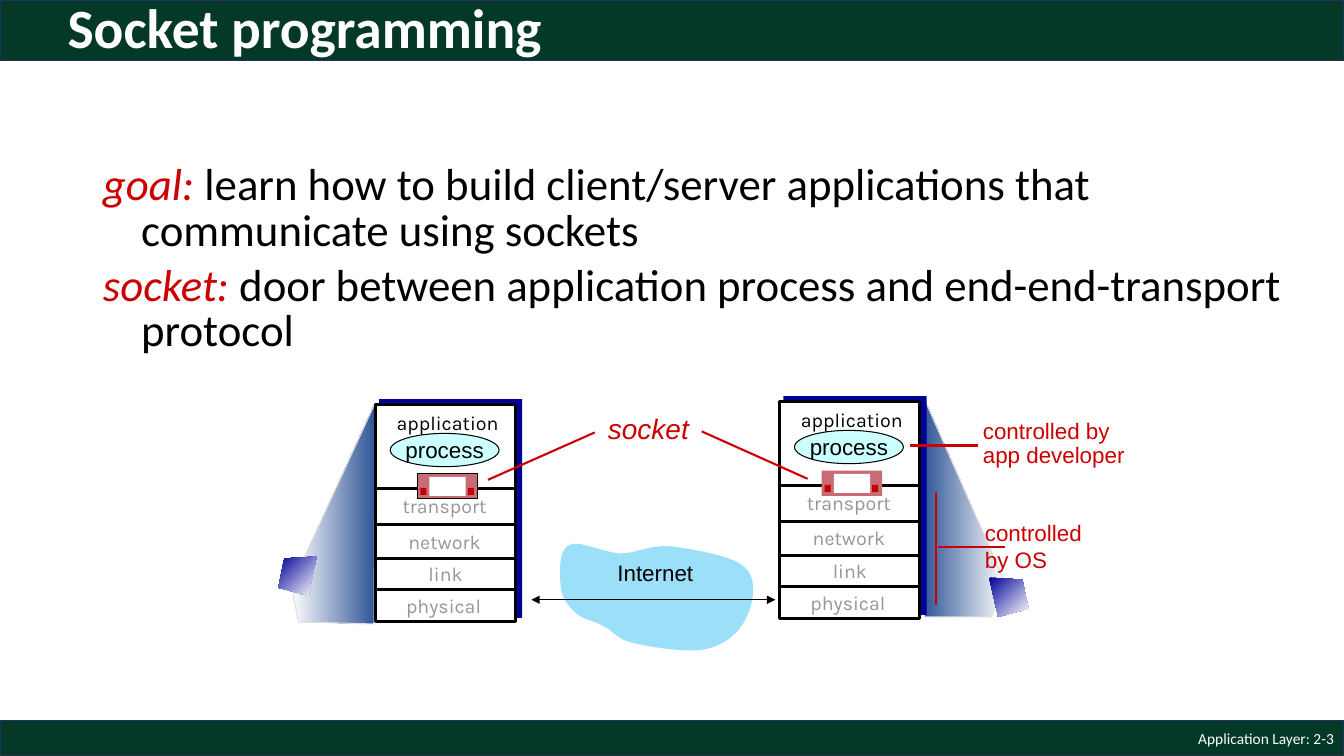
from lxml import etree
from pptx import Presentation
from pptx.dml.color import RGBColor
from pptx.enum.shapes import MSO_CONNECTOR as Connector, MSO_SHAPE as Preset
from pptx.enum.text import MSO_ANCHOR as Anchor, MSO_AUTO_SIZE as AutoSize, PP_ALIGN as Align
from pptx.oxml.ns import qn
from pptx.util import Inches, Pt

COLOURS = {
    "bar": "043927", "bar edge": "1E3256", "white": "FFFFFF", "black": "000000",
    "red": "CC0000", "navy": "000099", "beam": "2F5597", "beam edge": "DDDDDD",
    "cloud": "9CDFF9", "muted": "969696", "process": "CCFFFF",
    "door": "C96B72", "hinge": "C00000",
}
HOST_DIVIDERS = [0.84, 1.19, 1.53, 1.84]
HOST_LAYERS = [("application", 0, -0.01, "black"), ("transport", -0.03, 0.82, "muted"),
               ("network", -0.03, 1.17, "muted"), ("link", -0.02, 1.49, "muted"),
               ("physical", -0.04, 1.81, "muted")]
CLOUD_START = (0.02, 0.45)
CLOUD_CURVES = [
    ((0.01, 0.33), (0, 0.11), (0.1, 0.06)), ((0.19, 0), (0.44, 0.13), (0.61, 0.14)),
    ((0.78, 0.14), (0.91, 0.05), (1.12, 0.07)), ((1.33, 0.1), (1.73, 0.16), (1.85, 0.28)),
    ((1.98, 0.4), (1.93, 0.65), (1.86, 0.78)), ((1.8, 0.92), (1.65, 1.05), (1.46, 1.09)),
    ((1.28, 1.13), (0.92, 1.07), (0.75, 1.03)), ((0.58, 1), (0.56, 0.92), (0.46, 0.87)),
    ((0.37, 0.81), (0.24, 0.8), (0.17, 0.73)), ((0.09, 0.66), (0.02, 0.56), (0.02, 0.45)),
]


def rgb(name):
    return RGBColor.from_string(COLOURS[name])


def set_outline(shape, colour, width):
    if colour:
        shape.line.color.rgb = rgb(colour)
        shape.line.width = Pt(width)
    else:
        shape.line.fill.background()


def add_preset(page, preset, left, top, width, height, fill, edge=None, weight=0.75):
    shape = page.shapes.add_shape(preset, Inches(left), Inches(top), Inches(width), Inches(height))
    shape.shadow.inherit = False
    shape.fill.solid()
    shape.fill.fore_color.rgb = rgb(fill)
    set_outline(shape, edge, weight)
    return shape


def add_outline(page, points, edge=None):
    corners = [(Inches(x), Inches(y)) for x, y in points]
    builder = page.shapes.build_freeform(*corners[0])
    builder.add_line_segments(corners[1:], close=True)
    shape = builder.convert_to_shape()
    shape.shadow.inherit = False
    set_outline(shape, edge, 0.75)
    return shape


def fill_gradient(shape, colours, angle):
    shape.fill.gradient()
    shape.fill.gradient_angle = angle
    for stop, colour in zip(shape.fill.gradient_stops, colours):
        stop.color.rgb = rgb(colour)


def add_line(page, start, end, colour, weight, arrows=False):
    line = page.shapes.add_connector(Connector.STRAIGHT, *(Inches(v) for v in (*start, *end)))
    set_outline(line, colour, weight)
    if arrows:
        for tag in ("a:headEnd", "a:tailEnd"):
            etree.SubElement(line.line._get_or_add_ln(), qn(tag), type="triangle")
    etree.SubElement(line._element.spPr, qn("a:effectLst"))


def add_run(para, words, font, size, colour, bold=False, italic=False):
    span = para.add_run()
    span.text = words
    span.font.name, span.font.size = font, Pt(size)
    span.font.bold, span.font.italic = bold, italic
    span.font.color.rgb = rgb(colour)


def add_label(page, left, top, width, height, lines, font, size, colour,
              align=Align.LEFT, spacing=1.0, wrap=False, italic=False):
    box = page.shapes.add_textbox(Inches(left), Inches(top), Inches(width), Inches(height))
    frame = box.text_frame
    frame.word_wrap = wrap
    for index, words in enumerate(lines):
        para = frame.add_paragraph() if index else frame.paragraphs[0]
        para.alignment, para.line_spacing = align, spacing
        add_run(para, words, font, size, colour, italic=italic)
    return box


def place_placeholder(holder, left, top, width, height, anchor):
    holder.left, holder.top = Inches(left), Inches(top)
    holder.width, holder.height = Inches(width), Inches(height)
    frame = holder.text_frame
    frame.word_wrap, frame.auto_size, frame.vertical_anchor = True, AutoSize.NONE, anchor
    return frame


def add_bars(page):
    for top, height in ((0, 0.6), (7.15, 0.35)):
        bar = add_preset(page, Preset.RECTANGLE, 0, top, 13.33, height, "bar", "bar edge", 1)
        bar._element.getparent().insert(2, bar._element)  # behind the title
    footer = add_label(page, 10.33, 7.15, 3, 0.35, ["Application Layer: 2-3"],
                       "Calibri", 11, "white", Align.RIGHT, wrap=True)
    footer.text_frame.vertical_anchor = Anchor.MIDDLE


def write_title(page):
    frame = place_placeholder(page.shapes.title, 0.57, 0.05, 11.5, 0.5, Anchor.MIDDLE)
    para = frame.paragraphs[0]
    para.alignment, para.line_spacing = Align.LEFT, 0.9
    add_run(para, "Socket programming", "Calibri", 39.6, "white", bold=True)


def write_definitions(page):
    frame = place_placeholder(page.placeholders[1], 0.92, 1.58, 12.17, 1.68, Anchor.TOP)
    definitions = [
        ("goal:", " learn how to build client/server applications that communicate using sockets"),
        ("socket:", " door between application process and end-end-transport protocol"),
    ]
    for index, (term, meaning) in enumerate(definitions):
        para = frame.add_paragraph() if index else frame.paragraphs[0]
        para.line_spacing = 0.85
        para.space_before = Pt(6.4 if index else 0)
        properties = para._p.get_or_add_pPr()
        properties.set("marL", str(Inches(0.38)))
        properties.set("indent", str(-Inches(0.38)))
        etree.SubElement(properties, qn("a:buNone"))
        add_run(para, term, "Calibri", 32, "red", italic=True)
        add_run(para, meaning, "Calibri", 32, "black")


def add_door(page, left, top, edge):
    add_preset(page, Preset.RECTANGLE, left, top, 0.6, 0.25, "door", edge)
    add_preset(page, Preset.RECTANGLE, left + 0.12, top + 0.03, 0.36, 0.19, "white")
    for offset in (0.03, 0.5):
        add_preset(page, Preset.RECTANGLE, left + offset, top + 0.14, 0.06, 0.07, "hinge")


def add_host(page, left, top, door_edge=None):
    """Protocol stack whose white panel starts at left, top."""
    add_preset(page, Preset.RECTANGLE, left + 0.04, top - 0.05, 1.42, 2.17, "navy")
    add_preset(page, Preset.RECTANGLE, left, top, 1.39, 2.16, "white", "black", 2.25)
    for offset in HOST_DIVIDERS:
        add_line(page, (left + 0.01, top + offset), (left + 1.39, top + offset), "black", 2.25)
    for words, across, down, colour in HOST_LAYERS:
        add_label(page, left + across, top + down, 1.44, 0.36, [words], "Karla", 14, colour,
                  Align.CENTER, 1.1, wrap=True)
    process = add_preset(page, Preset.OVAL, left + 0.15, top + 0.29, 1.08, 0.33, "process", "black")
    frame = process.text_frame
    frame.word_wrap, frame.vertical_anchor = False, Anchor.MIDDLE
    frame.paragraphs[0].alignment = Align.CENTER
    add_run(frame.paragraphs[0], "process", "Arial", 16, "black")
    add_door(page, left + 0.42, top + 0.69, door_edge)


def add_beam(page, points, angle):
    fill_gradient(add_outline(page, points, "beam edge"), ("white", "beam"), angle)


def add_device(page, points):
    fill_gradient(add_outline(page, points), ("navy", "white"), 315)


def add_cloud(page, left, top, steps=10):
    points = [CLOUD_START]
    for curve in CLOUD_CURVES:
        knots = (points[-1], *curve)
        for step in range(1, steps + 1):
            t = step / steps
            weights = ((1 - t) ** 3, 3 * t * (1 - t) ** 2, 3 * t * t * (1 - t), t ** 3)
            points.append(tuple(sum(w * knot[axis] for w, knot in zip(weights, knots))
                                for axis in (0, 1)))
    cloud = add_outline(page, [(left + x, top + y) for x, y in points[:-1]])
    cloud.fill.solid()
    cloud.fill.fore_color.rgb = rgb("cloud")
    add_label(page, left + 0.48, top + 0.15, 0.96, 0.37, ["Internet"], "Arial", 16, "black",
              Align.CENTER)
    add_line(page, (left - 0.27, top + 0.6), (left + 2.15, top + 0.6), "black", 0.75, arrows=True)


def add_callouts(page):
    add_label(page, 9.67, 5.1, 1.16, 0.9, ["controlled", "by OS"], "Arial", 16, "red")
    add_label(page, 9.65, 4.12, 1.61, 0.58, ["controlled by", "app developer"], "Arial", 16, "red",
              spacing=0.9)
    add_label(page, 5.93, 4.07, 1.1, 0.4, ["socket"], "Arial", 20, "red", spacing=0.9, italic=True)
    for start, end in (((9.7, 4.42), (9.03, 4.42)), ((9.28, 4.88), (9.28, 6)),
                       ((9.97, 5.43), (9.3, 5.43)), ((4.84, 4.76), (5.9, 4.29)),
                       ((8.01, 4.75), (6.96, 4.28))):
        add_line(page, start, end, "red", 1.5)


def main():
    deck = Presentation()
    deck.slide_width, deck.slide_height = Inches(13.33), Inches(7.5)
    page = deck.slides.add_slide(deck.slide_layouts[1])
    add_bars(page)
    write_title(page)
    write_definitions(page)
    add_beam(page, [(9.97, 5.78), (9.16, 3.94), (9.17, 6.12), (9.83, 6.12)], 180)
    add_beam(page, [(2.89, 5.81), (3.72, 4), (3.71, 6.19), (2.96, 6.17)], 0)
    add_cloud(page, 5.54, 5.35)
    add_host(page, 3.72, 4.01, door_edge="black")
    add_host(page, 7.73, 3.98)
    add_callouts(page)
    add_device(page, [(3.14, 5.52), (2.82, 5.54), (2.76, 5.83), (3.06, 5.91)])
    add_device(page, [(9.81, 5.73), (10.14, 5.75), (10.2, 6.04), (9.9, 6.12)])
    deck.save("out.pptx")


if __name__ == "__main__":
    main()
